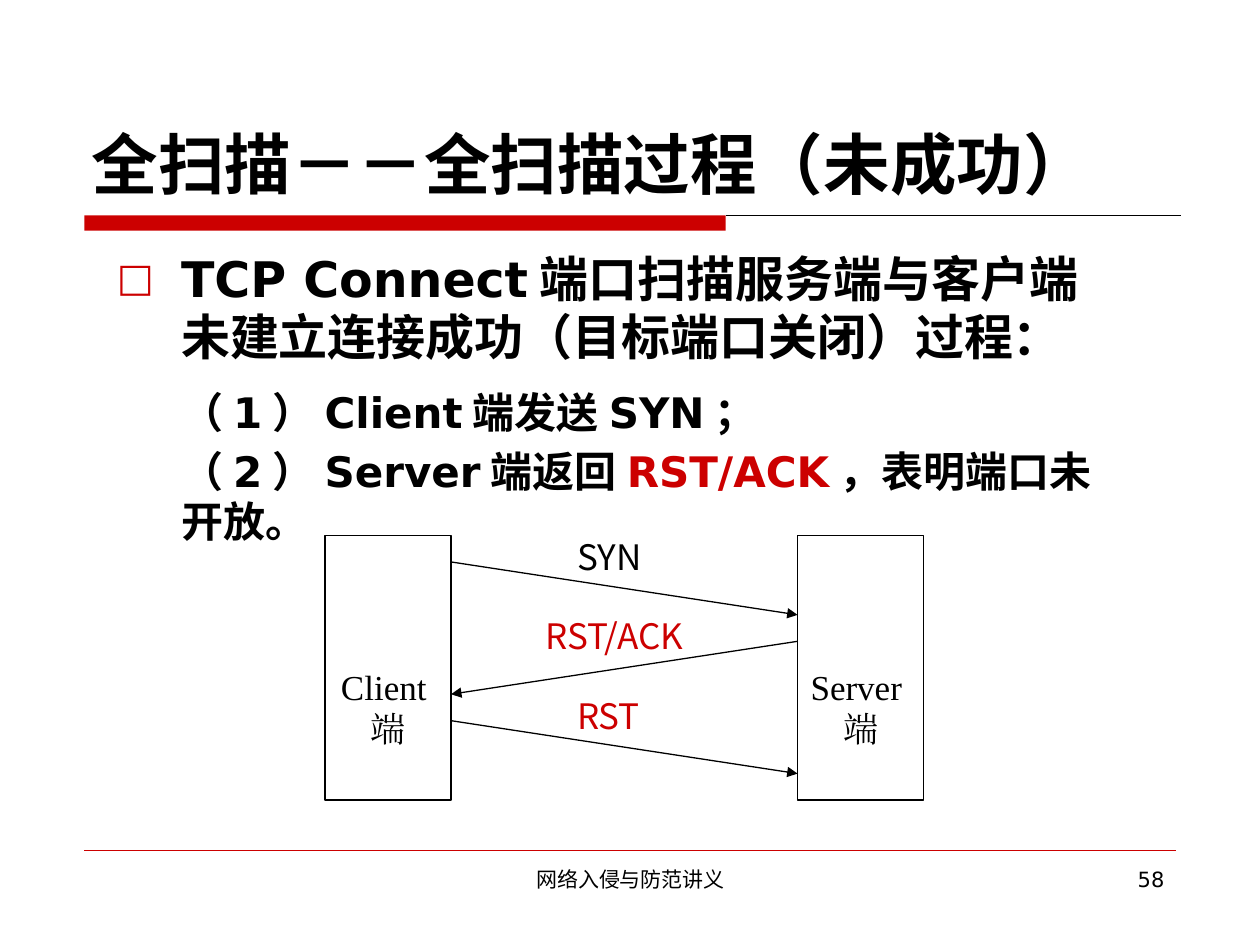
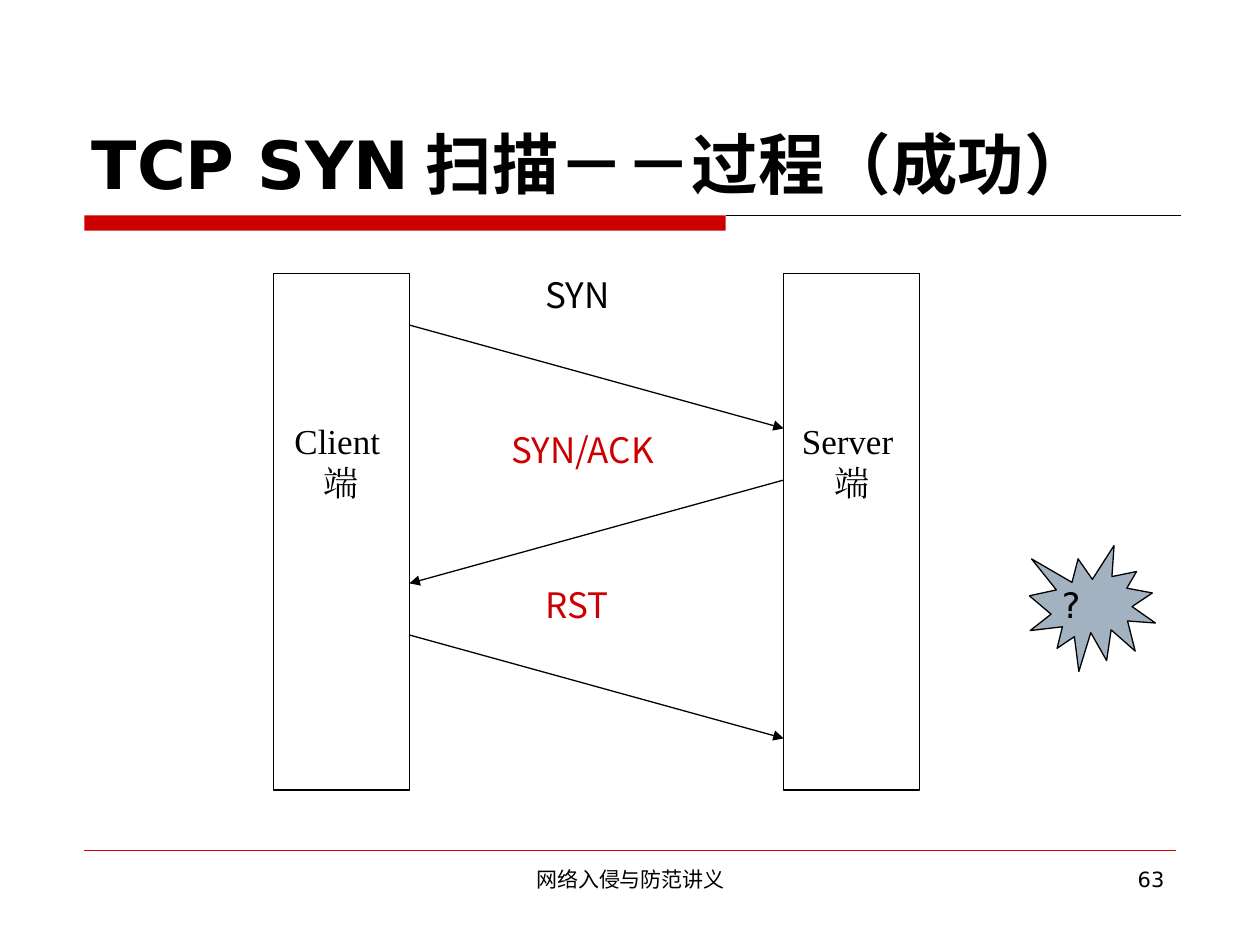
from dataclasses import dataclass

import pptx
import pptx.dml.color
import pptx.enum.lang
import pptx.enum.shapes
import pptx.enum.text
import pptx.oxml
import pptx.oxml.ns
import pptx.presentation
import pptx.shapes.autoshape
import pptx.shapes.connector
import pptx.slide
import pptx.text.text
import pptx.util
from lxml import etree

Inches = pptx.util.Inches
Pt = pptx.util.Pt
RGBColor = pptx.dml.color.RGBColor
Align = pptx.enum.text.PP_ALIGN
Anchor = pptx.enum.text.MSO_ANCHOR
Preset = pptx.enum.shapes.MSO_SHAPE
qn = pptx.oxml.ns.qn

RED = RGBColor(0xCC, 0x00, 0x00)
BLACK = RGBColor(0x00, 0x00, 0x00)
WHITE = RGBColor(0xFF, 0xFF, 0xFF)
STEEL = RGBColor(0xA3, 0xB2, 0xC1)

BODY_FONT = "DejaVu Sans"
LABEL_FONT = "Noto Sans CJK SC"
HOST_FONT = "Times New Roman"
FOOTER = "网络入侵与防范讲义"

HOST_COLUMNS = 4
SERVER_COLUMN = 15
ROWS = 10


@dataclass(frozen=True)
class Box:
    left: float
    top: float
    width: float
    height: float


@dataclass(frozen=True)
class Run:
    text: str
    size: float
    color: RGBColor = BLACK
    font: str = BODY_FONT
    bold: bool = False


@dataclass(frozen=True)
class BodyParagraph:
    runs: tuple[Run, ...]
    space_before: float
    bullet: bool = False


@dataclass(frozen=True)
class Message:
    text: str
    color: RGBColor
    column: int
    columns: int
    start_row: int
    to_server: bool = True


@dataclass(frozen=True)
class Handshake:
    left: float
    top: float
    column: float
    row: float
    name_inset: float
    reply: str


def add_runs(paragraph: pptx.text.text._Paragraph, runs: tuple[Run, ...]) -> None:
    for item in runs:
        run = paragraph.add_run()
        run.text = item.text
        run.font.name = item.font
        run.font.size = Pt(item.size)
        run.font.bold = item.bold
        run.font.color.rgb = item.color
        run.font.language_id = pptx.enum.lang.MSO_LANGUAGE_ID.SIMPLIFIED_CHINESE
        latin = run.font._element.find(qn("a:latin"))
        east_asian = etree.Element(qn("a:ea"), typeface=item.font)
        latin.addnext(east_asian)


def add_text(
    slide: pptx.slide.Slide,
    box: Box,
    run: Run,
    align: Align = Align.LEFT,
    anchor: Anchor = Anchor.TOP,
) -> None:
    shape = slide.shapes.add_textbox(
        Inches(box.left), Inches(box.top), Inches(box.width), Inches(box.height)
    )
    frame = shape.text_frame
    frame.word_wrap = True
    frame.vertical_anchor = anchor
    frame.paragraphs[0].alignment = align
    add_runs(frame.paragraphs[0], (run,))


def add_shape(
    slide: pptx.slide.Slide,
    preset: Preset,
    box: Box,
    fill: RGBColor,
    outlined: bool = False,
) -> pptx.shapes.autoshape.Shape:
    shape = slide.shapes.add_shape(
        preset, Inches(box.left), Inches(box.top), Inches(box.width), Inches(box.height)
    )
    shape.shadow.inherit = False
    shape.fill.solid()
    shape.fill.fore_color.rgb = fill
    if outlined:
        shape.line.color.rgb = BLACK
        shape.line.width = Pt(0.75)
    else:
        shape.line.fill.background()
    return shape


def add_line(
    slide: pptx.slide.Slide,
    start: tuple[float, float],
    end: tuple[float, float],
    color: RGBColor = BLACK,
    width: float = 0.75,
    arrow: bool = False,
) -> None:
    connector = slide.shapes.add_connector(
        pptx.enum.shapes.MSO_CONNECTOR.STRAIGHT,
        Inches(start[0]), Inches(start[1]), Inches(end[0]), Inches(end[1]),
    )
    connector.line.color.rgb = color
    connector.line.width = Pt(width)
    properties = connector._element.spPr
    if arrow:
        etree.SubElement(properties.find(qn("a:ln")), qn("a:tailEnd"), type="triangle")
    etree.SubElement(properties, qn("a:effectLst"))


def add_frame(
    presentation: pptx.presentation.Presentation, title: str, number: int
) -> pptx.slide.Slide:
    slide = presentation.slides.add_slide(presentation.slide_layouts[6])
    add_line(slide, (5.76, 1.71), (9.37, 1.71))
    add_shape(slide, Preset.RECTANGLE, Box(0.67, 1.71, 5.09, 0.12), RED)
    add_line(slide, (0.67, 6.75), (9.33, 6.75), RED, 0.25)
    add_text(slide, Box(0.63, 0.33, 8.75, 1.33), Run(title, 38, bold=True),
             anchor=Anchor.BOTTOM)
    add_text(slide, Box(3.42, 6.83, 3.17, 0.52), Run(FOOTER, 12), Align.CENTER)
    add_text(slide, Box(7.17, 6.83, 2.17, 0.52), Run(str(number), 12), Align.RIGHT)
    return slide


def add_bullet(properties: etree._Element) -> None:
    color = etree.SubElement(properties, qn("a:buClr"))
    etree.SubElement(color, qn("a:srgbClr"), val=str(RED))
    etree.SubElement(properties, qn("a:buSzPct"), val="80000")
    etree.SubElement(properties, qn("a:buFont"), typeface=BODY_FONT)
    etree.SubElement(properties, qn("a:buChar"), char="□")


def add_body(slide: pptx.slide.Slide, paragraphs: tuple[BodyParagraph, ...]) -> None:
    shape = slide.shapes.add_textbox(Inches(0.83), Inches(1.92), Inches(8), Inches(4.78))
    frame = shape.text_frame
    frame.word_wrap = True
    for index, item in enumerate(paragraphs):
        paragraph = frame.add_paragraph() if index else frame.paragraphs[0]
        paragraph.space_before = Pt(item.space_before)
        properties = paragraph._p.get_or_add_pPr()
        indent = Inches(0.51)
        properties.set("marL", str(indent))
        properties.set("indent", str(-indent if item.bullet else 0))
        if item.bullet:
            add_bullet(properties)
        add_runs(paragraph, item.runs)


def add_handshake(slide: pptx.slide.Slide, handshake: Handshake) -> None:
    def x(column: int) -> float:
        return handshake.left + column * handshake.column

    def y(row: int) -> float:
        return handshake.top + row * handshake.row

    messages = (
        Message("SYN", BLACK, 8, 3, 1),
        Message(handshake.reply, RED, 7, 6, 4, to_server=False),
        Message("RST", RED, 8, 3, 7),
    )
    for index, message in enumerate(messages):
        box = Box(x(message.column), y(3 * index),
                  message.columns * handshake.column, 2 * handshake.row)
        frame = add_shape(slide, Preset.RECTANGLE, box, WHITE).text_frame
        frame.margin_left = frame.margin_right = 0
        frame.margin_top = frame.margin_bottom = 0
        frame.vertical_anchor = Anchor.TOP
        frame.paragraphs[0].alignment = Align.JUSTIFY
        add_runs(frame.paragraphs[0],
                 (Run(message.text, 20, message.color, LABEL_FONT),))

    for name, column in (("Client端", 0), ("Server端", SERVER_COLUMN)):
        box = Box(x(column), y(0), HOST_COLUMNS * handshake.column, ROWS * handshake.row)
        frame = add_shape(slide, Preset.RECTANGLE, box, WHITE, True).text_frame
        frame.margin_top = Inches(handshake.name_inset)
        frame.vertical_anchor = Anchor.TOP
        frame.paragraphs[0].alignment = Align.CENTER
        add_runs(frame.paragraphs[0], (Run(name, 20, font=HOST_FONT),))

    for message in messages:
        columns = (HOST_COLUMNS, SERVER_COLUMN)
        source, target = columns if message.to_server else columns[::-1]
        add_line(slide, (x(source), y(message.start_row)),
                 (x(target), y(message.start_row + 2)), arrow=True)


def build_failed_scan(presentation: pptx.presentation.Presentation) -> None:
    slide = add_frame(presentation, "全扫描－－全扫描过程（未成功）", 58)
    add_body(slide, (
        BodyParagraph((Run("TCP Connect端口扫描服务端与客户端未建立连接成功（目标端口关闭）过程：",
                           28, bold=True),), 5.6, bullet=True),
        BodyParagraph((Run("（1）Client端发送SYN；", 24, bold=True),), 12),
        BodyParagraph((
            Run("（2）Server端返回", 24, bold=True),
            Run("RST/ACK", 24, RED, bold=True),
            Run("，表明端口未开放。", 24, bold=True),
        ), 4.8),
    ))
    add_handshake(slide, Handshake(2.58, 4.25, 0.25, 0.21, 1.03, "RST/ACK"))


def build_syn_scan(presentation: pptx.presentation.Presentation) -> None:
    slide = add_frame(presentation, "TCP SYN扫描－－过程（成功）", 63)
    add_handshake(slide, Handshake(2.17, 2.17, 0.27, 0.41, 1.16, "SYN/ACK"))
    add_shape(slide, Preset.EXPLOSION1, Box(8.17, 4.33, 1, 1), STEEL, True)
    add_text(slide, Box(8.33, 4.58, 0.42, 0.43), Run("?", 20))


def main() -> None:
    presentation = pptx.Presentation()
    presentation.slide_width = Inches(10)
    presentation.slide_height = Inches(7.5)
    build_failed_scan(presentation)
    build_syn_scan(presentation)
    presentation.save("out.pptx")


if __name__ == "__main__":
    main()
